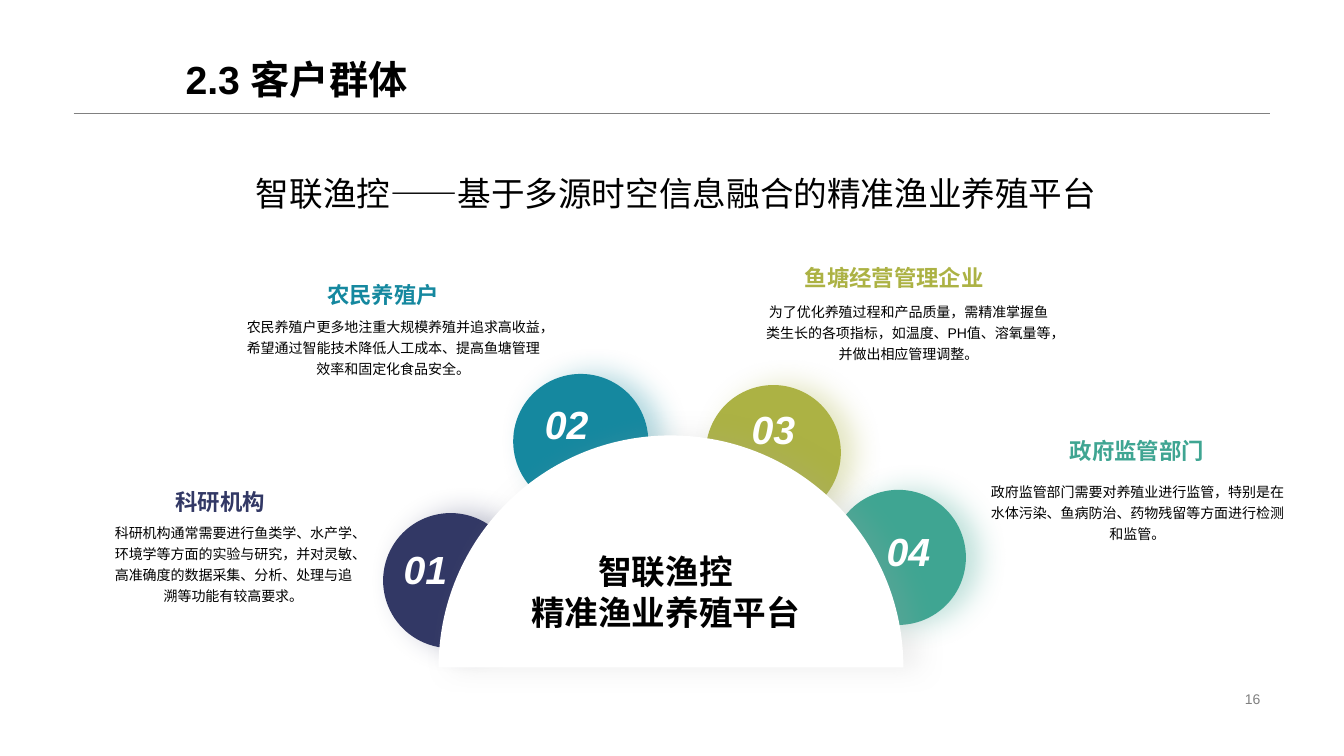
from lxml import etree
from pptx import Presentation
from pptx.dml.color import RGBColor
from pptx.enum.shapes import MSO_CONNECTOR, MSO_SHAPE
from pptx.enum.text import MSO_ANCHOR, PP_ALIGN
from pptx.oxml import parse_xml
from pptx.oxml.ns import nsdecls, qn
from pptx.util import Pt

PX = 9144


def style_text(shape, text, size, color="000000", bold=False, italic=False,
               align=PP_ALIGN.CENTER, spacing=None, wrap=True, anchor=MSO_ANCHOR.TOP):
    frame = shape.text_frame
    frame.text = text
    frame.word_wrap = wrap
    frame.vertical_anchor = anchor
    for paragraph in frame.paragraphs:
        paragraph.alignment = align
        paragraph.line_spacing = spacing
        font = paragraph.font
        font.name, font.size, font.bold, font.italic = "Arial", Pt(size), bold, italic
        font.color.rgb = RGBColor.from_string(color)


def style_shape(shape, color, shadow_color, opacity):
    shape.fill.solid()
    shape.fill.fore_color.rgb = RGBColor.from_string(color)
    shape.line.fill.background()
    shape._element.spPr.append(parse_xml(
        f'<a:effectLst {nsdecls("a")}><a:outerShdw blurRad="{Pt(20)}" dist="{Pt(10)}" dir="0" '
        f'algn="l" rotWithShape="0"><a:srgbClr val="{shadow_color}">'
        f'<a:alpha val="{opacity * 1000}"/></a:srgbClr></a:outerShdw></a:effectLst>'))


presentation = Presentation()
presentation.slide_width = 1333 * PX
presentation.slide_height = 750 * PX
slide = presentation.slides.add_slide(presentation.slide_layouts[5])
shapes = slide.shapes

title = shapes.title
title.left, title.top, title.width, title.height = [n * PX for n in (174, -5, 1187, 112)]
style_text(title, "2.3 客户群体", 28, bold=True, align=PP_ALIGN.LEFT, spacing=0.9,
           anchor=MSO_ANCHOR.BOTTOM)

rule = shapes.add_connector(MSO_CONNECTOR.STRAIGHT, 73 * PX, 112 * PX, 1260 * PX, 112 * PX)
rule.line.color.rgb = RGBColor.from_string("808080")
rule.line.width = Pt(0.25)
etree.SubElement(rule._element.spPr, qn("a:effectLst"))

customers = [
    ("01", "科研机构", "323865", (380, 509), (390, 536), (67, 479, 303), (103, 511, 257, 94),
     "科研机构通常需要进行鱼类学、水产学、环境学等方面的实验与研究，并对灵敏、高准确度的数据采集、分析、处理与追溯等功能有较高要求。"),
    ("02", "农民养殖户", "15889F", (509, 371), (530, 392), (254, 274, 252), (231, 307, 318, 71),
     "农民养殖户更多地注重大规模养殖并追求高收益，希望通过智能技术降低人工成本、提高鱼塘管理效率和固定化食品安全。"),
    ("03", "鱼塘经营管理企业", "ACB244", (700, 382), (735, 397), (735, 257, 304), (749, 292, 304, 73),
     "为了优化养殖过程和产品质量，需精准掌握鱼类生长的各项指标，如温度、PH值、溶氧量等，并做出相应管理调整。"),
    ("04", "政府监管部门", "3FA592", (824, 486), (869, 518), (987, 429, 281), (969, 471, 318, 71),
     "政府监管部门需要对养殖业进行监管，特别是在水体污染、鱼病防治、药物残留等方面进行检测和监管。"),
]

for number, name, color, (left, top), *rest in customers:
    circle = shapes.add_shape(MSO_SHAPE.OVAL, left * PX, top * PX, 134 * PX, 134 * PX)
    style_shape(circle, color, color, 32)

builder = shapes.build_freeform(665, 432, scale=PX)
builder.add_line_segments([(896, 662), (435, 662), (665, 432)], close=True)
dome = builder.convert_to_shape()
right_side, base, left_side = list(dome._element.iter(qn("a:lnTo")))
for side, controls in ((right_side, [(358, 0), (461, 103)]), (left_side, [(0, 103), (103, 0)])):
    side.tag = qn("a:cubicBezTo")
    for index, (x, y) in enumerate(controls):
        side.insert(index, parse_xml(f'<a:pt {nsdecls("a")} x="{x}" y="{y}"/>'))
style_shape(dome, "FFFFFF", "A6A6A6", 20)

for number, name, color, circle_at, (left, top), heading_at, detail_at, detail in customers:
    label = shapes.add_textbox(left * PX, top * PX, 64 * PX, 57 * PX)
    style_text(label, number, 28, "FFFFFF", bold=True, italic=True, wrap=False)
    heading = shapes.add_textbox(*[n * PX for n in heading_at], 37 * PX)
    style_text(heading, name, 16, color, bold=True)
    description = shapes.add_textbox(*[n * PX for n in detail_at])
    style_text(description, detail, 10, spacing=Pt(15))

platform = shapes.add_textbox(469 * PX, 542 * PX, 382 * PX, 91 * PX)
style_text(platform, "智联渔控\n精准渔业养殖平台", 24, bold=True)

subtitle = shapes.add_textbox(244 * PX, 167 * PX, 953 * PX, 50 * PX)
style_text(subtitle, "智联渔控——基于多源时空信息融合的精准渔业养殖平台", 24, align=PP_ALIGN.LEFT)

page_number = shapes.add_textbox(942 * PX, 682 * PX, 318 * PX, 23 * PX)
style_text(page_number, "16", 10, "808080", align=PP_ALIGN.RIGHT, anchor=MSO_ANCHOR.MIDDLE)

presentation.save("out.pptx")
